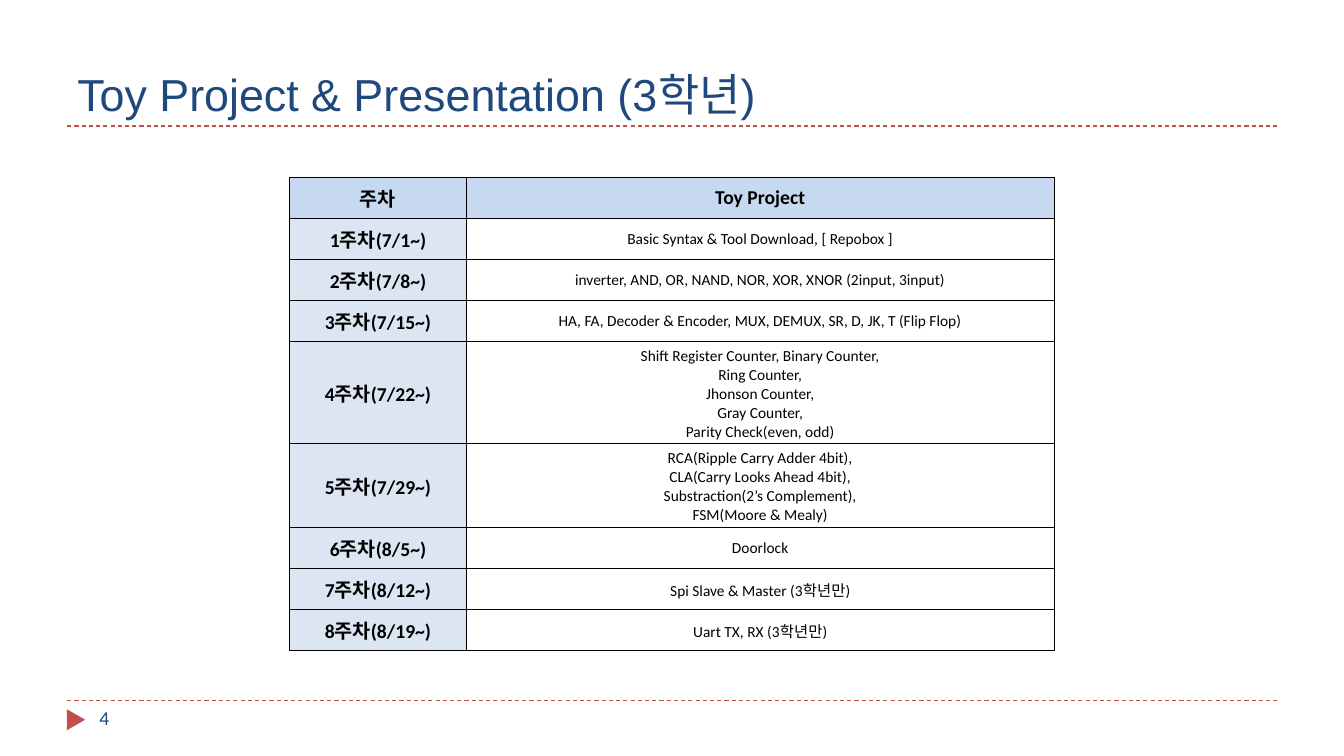
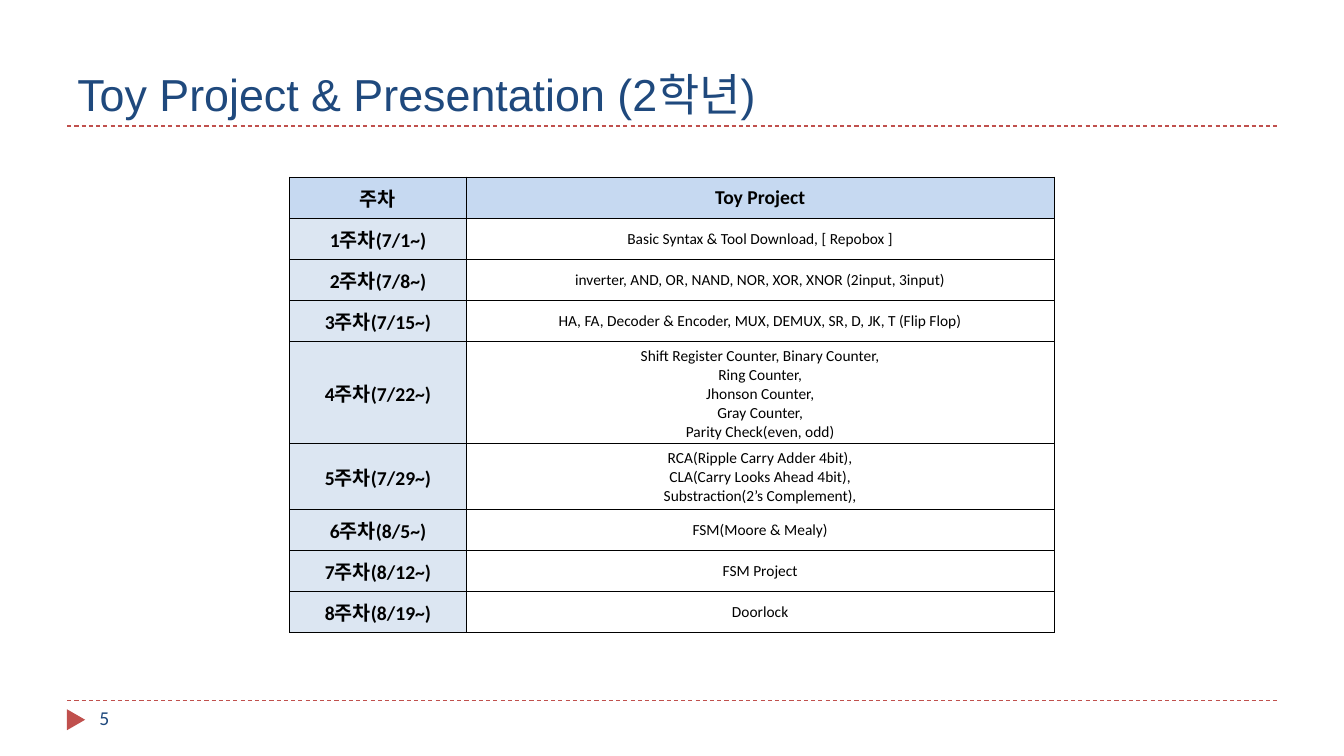
import pptx
import pptx.dml.color
import pptx.enum.dml
import pptx.enum.shapes
import pptx.enum.text
import pptx.oxml
import pptx.oxml.ns
import pptx.util
from lxml import etree

Pt = pptx.util.Pt
ALIGN = pptx.enum.text.PP_ALIGN
ANCHOR = pptx.enum.text.MSO_ANCHOR


def color(value):
    return pptx.dml.color.RGBColor.from_string(value)


class Deck:
    NAVY = "1F497D"
    RED = "C0504D"
    BLACK = "000000"
    WHITE = "FFFFFF"
    HEADER_BLUE = "C6D9F1"
    LABEL_BLUE = "DCE6F2"
    TITLE_FONT = "Arial"
    BODY_FONT = "Calibri"
    LEFT, RIGHT = 48, 912
    TITLE_LINE, FOOTER_LINE = 90, 500.4

    def __init__(self):
        self.presentation = pptx.Presentation()
        self.presentation.slide_width = Pt(960)
        self.presentation.slide_height = Pt(540)
        self.slide = None

    def add_slide(self, title, number):
        layout = self.presentation.slide_layouts.get_by_name("Title Only")
        self.slide = self.presentation.slides.add_slide(layout)
        self.rule(self.FOOTER_LINE)
        self.rule(self.TITLE_LINE)
        self.marker()
        self.title(title)
        self.page_number(number)

    def format_text(self, text_frame, size, font, text_color, align, bold=False):
        for paragraph in text_frame.paragraphs:
            paragraph.alignment = align
            for run in paragraph.runs:
                run.font.size = Pt(size)
                run.font.name = font
                run.font.bold = bold
                run.font.color.rgb = color(text_color)

    def rule(self, y):
        line = self.slide.shapes.add_connector(
            pptx.enum.shapes.MSO_CONNECTOR.STRAIGHT,
            Pt(self.LEFT), Pt(y), Pt(self.RIGHT), Pt(y))
        line.line.color.rgb = color(self.RED)
        line.line.width = Pt(0.75)
        line.line.dash_style = pptx.enum.dml.MSO_LINE.DASH
        etree.SubElement(line.element.spPr, pptx.oxml.ns.qn("a:effectLst"))

    def marker(self):
        shape = self.slide.shapes.add_shape(
            pptx.enum.shapes.MSO_SHAPE.ISOSCELES_TRIANGLE,
            Pt(46.8), Pt(507.6), Pt(15), Pt(13))
        shape.rotation = 90
        shape.shadow.inherit = False
        shape.fill.solid()
        shape.fill.fore_color.rgb = color(self.RED)
        shape.line.fill.background()

    def title(self, text):
        shape = self.slide.shapes.title
        shape.left, shape.top = Pt(self.LEFT), Pt(12)
        shape.width, shape.height = Pt(self.RIGHT - self.LEFT), Pt(self.TITLE_LINE - 12)
        text_frame = shape.text_frame
        text_frame.text = text
        text_frame.word_wrap = True
        text_frame.auto_size = pptx.enum.text.MSO_AUTO_SIZE.NONE
        text_frame.vertical_anchor = ANCHOR.BOTTOM
        self.format_text(text_frame, 32, self.TITLE_FONT, self.NAVY, ALIGN.LEFT)

    def page_number(self, number):
        shape = self.slide.shapes.add_textbox(
            Pt(64), Pt(self.FOOTER_LINE), Pt(208), Pt(28.8))
        shape.text_frame.text = str(number)
        shape.text_frame.word_wrap = True
        self.format_text(shape.text_frame, 14, self.BODY_FONT, self.NAVY, ALIGN.LEFT)

    def cell(self, cell, text, fill, size, bold):
        properties = cell._tc.get_or_add_tcPr()
        for side in ("lnL", "lnR", "lnT", "lnB"):
            border = etree.SubElement(
                properties, pptx.oxml.ns.qn("a:" + side), w=str(Pt(1)))
            border_fill = etree.SubElement(border, pptx.oxml.ns.qn("a:solidFill"))
            etree.SubElement(
                border_fill, pptx.oxml.ns.qn("a:srgbClr"), val=self.BLACK)
        cell.fill.solid()
        cell.fill.fore_color.rgb = color(fill)
        cell.vertical_anchor = ANCHOR.MIDDLE
        cell.text_frame.text = text
        self.format_text(
            cell.text_frame, size, self.BODY_FONT, self.BLACK, ALIGN.CENTER, bold)

    def schedule(self, weeks, projects):
        widths = (126, 420)
        row_height = 29.3
        row_count = len(projects) + 1
        table = self.slide.shapes.add_table(
            row_count, len(widths), Pt(207), Pt(126.6),
            Pt(sum(widths)), Pt(row_height * row_count)).table
        table.first_row = False
        table.horz_banding = False
        for column, width in zip(table.columns, widths):
            column.width = Pt(width)
        for row in table.rows:
            row.height = Pt(row_height)
        for index, heading in enumerate(("주차", "Toy Project")):
            self.cell(table.cell(0, index), heading, self.HEADER_BLUE, 14, True)
        for index, (week, project) in enumerate(zip(weeks, projects), 1):
            self.cell(table.cell(index, 0), week, self.LABEL_BLUE, 14, True)
            self.cell(table.cell(index, 1), project, self.WHITE, 11, False)


START_DATES = ("7/1", "7/8", "7/15", "7/22", "7/29", "8/5", "8/12", "8/19")
WEEKS = [f"{number}주차({date}~)" for number, date in enumerate(START_DATES, 1)]

SHARED_PROJECTS = [
    "Basic Syntax & Tool Download, [ Repobox ]",
    "inverter, AND, OR, NAND, NOR, XOR, XNOR (2input, 3input)",
    "HA, FA, Decoder & Encoder, MUX, DEMUX, SR, D, JK, T (Flip Flop)",
    "Shift Register Counter, Binary Counter,\nRing Counter,\nJhonson Counter,\n"
    "Gray Counter,\nParity Check(even, odd)",
]
ADDERS = ("RCA(Ripple Carry Adder 4bit),\nCLA(Carry Looks Ahead 4bit),\n"
          "Substraction(2’s Complement),")
STATE_MACHINE = "FSM(Moore & Mealy)"

GRADE_PROJECTS = {
    3: [ADDERS + "\n" + STATE_MACHINE, "Doorlock",
        "Spi Slave & Master (3학년만)", "Uart TX, RX (3학년만)"],
    2: [ADDERS, STATE_MACHINE, "FSM Project", "Doorlock"],
}


def main():
    deck = Deck()
    for number, (grade, projects) in enumerate(GRADE_PROJECTS.items(), 4):
        deck.add_slide(f"Toy Project & Presentation ({grade}학년)", number)
        deck.schedule(WEEKS, SHARED_PROJECTS + projects)
    deck.presentation.save("out.pptx")


if __name__ == "__main__":
    main()
